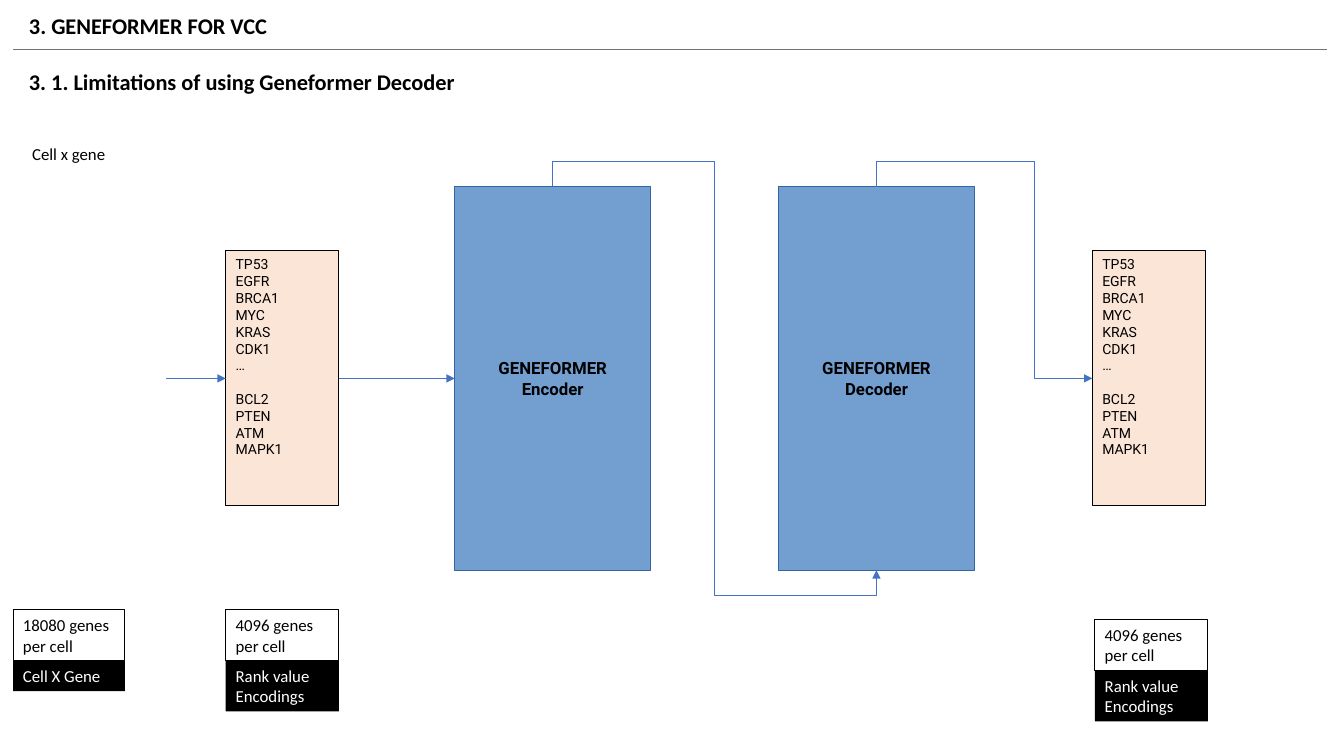
from collections import namedtuple

from lxml import etree
from pptx import Presentation
from pptx.dml.color import RGBColor
from pptx.enum.shapes import MSO_CONNECTOR as Connector, MSO_SHAPE as Shape
from pptx.enum.text import MSO_ANCHOR as Anchor, MSO_AUTO_SIZE as AutoSize, PP_ALIGN as Align
from pptx.oxml.ns import qn
from pptx.util import Cm, Pt

COLORS = {
    "black": "000000",
    "white": "FFFFFF",
    "rule": "767171",
    "arrow": "4472C4",
    "block": "729FCF",
    "block_line": "3465A4",
    "genes": "FBE5D6",
}
GENES = ["TP53", "EGFR", "BRCA1", "MYC", "KRAS", "CDK1", "…", "BCL2", "PTEN", "ATM", "MAPK1"]
FIRST_LOW_GENE = "BCL2"
LIFT = 0.64

Box = namedtuple("Box", "left top width height")


def color(name):
    return RGBColor.from_string(COLORS[name])


def place(shape, box):
    shape.left, shape.top, shape.width, shape.height = (Cm(length) for length in box)


def write(shape, lines, size, font="Calibri", ink="black", bold=False,
          align=Align.LEFT, anchor=Anchor.TOP, side=0.25, edge=0.13):
    frame = shape.text_frame
    frame.word_wrap = True
    frame.auto_size = AutoSize.NONE
    frame.vertical_anchor = anchor
    frame.margin_left = frame.margin_right = Cm(side)
    frame.margin_top = frame.margin_bottom = Cm(edge)
    frame.text = "\n".join(lines)
    for paragraph in frame.paragraphs:
        paragraph.alignment = align
        paragraph.font.name = font
        paragraph.font.size = Pt(size)
        paragraph.font.bold = bold
        paragraph.font.color.rgb = color(ink)


def add_text(slide, box, text, size, bold=False):
    shape = slide.shapes.add_textbox(*(Cm(length) for length in box))
    write(shape, [text], size, bold=bold)


def add_rectangle(slide, box, fill=None, line=None, width=0.75):
    shape = slide.shapes.add_shape(Shape.RECTANGLE, *(Cm(length) for length in box))
    shape.shadow.inherit = False
    if fill:
        shape.fill.solid()
        shape.fill.fore_color.rgb = color(fill)
    else:
        shape.fill.background()
    if line:
        shape.line.color.rgb = color(line)
        shape.line.width = Pt(width)
    else:
        shape.line.fill.background()
    return shape


def add_line(slide, start, end, ink="arrow", arrow=True, kind=Connector.STRAIGHT):
    connector = slide.shapes.add_connector(kind, *(Cm(length) for length in (*start, *end)))
    connector.line.color.rgb = color(ink)
    connector.line.width = Pt(0.5)
    properties = connector._element.spPr
    if arrow:
        line = properties.find(qn("a:ln"))
        etree.SubElement(line, qn("a:tailEnd"), type="triangle")
    etree.SubElement(properties, qn("a:effectLst"))
    return connector


def add_upward_elbow(slide, start, end, preset, adjustments):
    center_x, center_y = (start[0] + end[0]) / 2, (start[1] + end[1]) / 2
    half_x, half_y = (end[0] - start[0]) / 2, (end[1] - start[1]) / 2
    connector = add_line(slide, (center_x + half_y, center_y - half_x),
                         (center_x - half_y, center_y + half_x), kind=Connector.ELBOW)
    properties = connector._element.spPr
    properties.find(qn("a:xfrm")).set("rot", "16200000")
    geometry = properties.find(qn("a:prstGeom"))
    geometry.set("prst", preset)
    guides = geometry.find(qn("a:avLst"))
    if guides is None:
        guides = etree.SubElement(geometry, qn("a:avLst"))
    for number, value in enumerate(adjustments, 1):
        etree.SubElement(guides, qn("a:gd"), name=f"adj{number}",
                         fmla=f"val {round(value * 100000)}")


def add_header(slide, box):
    title = slide.shapes.title
    left = box.left + 0.15
    place(title, Box(left, box.top, 10.9, 0.93))
    write(title, ["3. GENEFORMER FOR VCC"], 16, bold=True)
    rule = box.top + 1.07
    add_line(slide, (box.left, rule), (box.left + box.width, rule), "rule", arrow=False)
    add_text(slide, Box(left, box.top + 1.42, 13.44, 0.93),
             "3. 1. Limitations of using Geneformer Decoder", 16, bold=True)


def add_block(slide, box, lines):
    shape = add_rectangle(slide, box, "block", "block_line", 0)
    write(shape, lines, 12, "Roboto", bold=True, align=Align.CENTER,
          anchor=Anchor.MIDDLE, side=0.3, edge=0.15)


def add_gene_list(slide, box):
    shape = add_rectangle(slide, box, "genes", "black")
    write(shape, GENES, 10, "Roboto")
    shape.text_frame.paragraphs[GENES.index(FIRST_LOW_GENE)].space_before = Pt(12)


def add_caption(slide, box, count, label, label_height):
    shape = add_rectangle(slide, box, line="black")
    write(shape, [count], 12)
    label_box = box._replace(top=box.top + box.height, height=label_height)
    shape = add_rectangle(slide, label_box, "black")
    write(shape, [label], 12, ink="white")


def add_flow(slide, encoder, decoder, genes_in, genes_out):
    middle = encoder.top + encoder.height / 2
    add_line(slide, (genes_in.left - 1.5, middle), (genes_in.left, middle))
    add_line(slide, (genes_in.left + genes_in.width, middle), (encoder.left, middle))
    encoder_x = encoder.left + encoder.width / 2
    decoder_x = decoder.left + decoder.width / 2
    lift = LIFT / encoder.height
    add_upward_elbow(slide, (encoder_x, encoder.top),
                     (decoder_x, decoder.top + decoder.height),
                     "bentConnector5", [-lift, 0.5, 1 + lift])
    add_upward_elbow(slide, (decoder_x, decoder.top), (genes_out.left, middle),
                     "bentConnector4", [-2 * lift, 0.73])


def main():
    presentation = Presentation()
    presentation.slide_width, presentation.slide_height = Cm(33.87), Cm(19.05)
    slide = presentation.slides.add_slide(presentation.slide_layouts[5])

    encoder = Box(11.46, 4.7, 4.94, 9.67)
    decoder = encoder._replace(left=19.62)
    genes_in = Box(5.69, 6.32, 2.85, 6.41)
    genes_out = genes_in._replace(left=27.53)

    add_header(slide, Box(0.33, 0.18, 33.12, 2.35))
    add_text(slide, Box(0.56, 3.48, 3.38, 0.77), "Cell x gene", 12)
    add_block(slide, encoder, ["GENEFORMER Encoder"])
    add_block(slide, decoder, ["GENEFORMER", "Decoder"])
    for box in (genes_in, genes_out):
        add_gene_list(slide, box)
    add_flow(slide, encoder, decoder, genes_in, genes_out)

    input_caption = Box(0.33, 15.37, 2.82, 1.28)
    add_caption(slide, input_caption, "18080 genes per cell", "Cell X Gene", 0.77)
    for left, top in ((genes_in.left, 15.37), (27.59, 15.62)):
        add_caption(slide, input_caption._replace(left=left, top=top, width=2.85),
                    "4096 genes per cell", "Rank value Encodings", 1.28)

    presentation.save("out.pptx")


if __name__ == "__main__":
    main()
